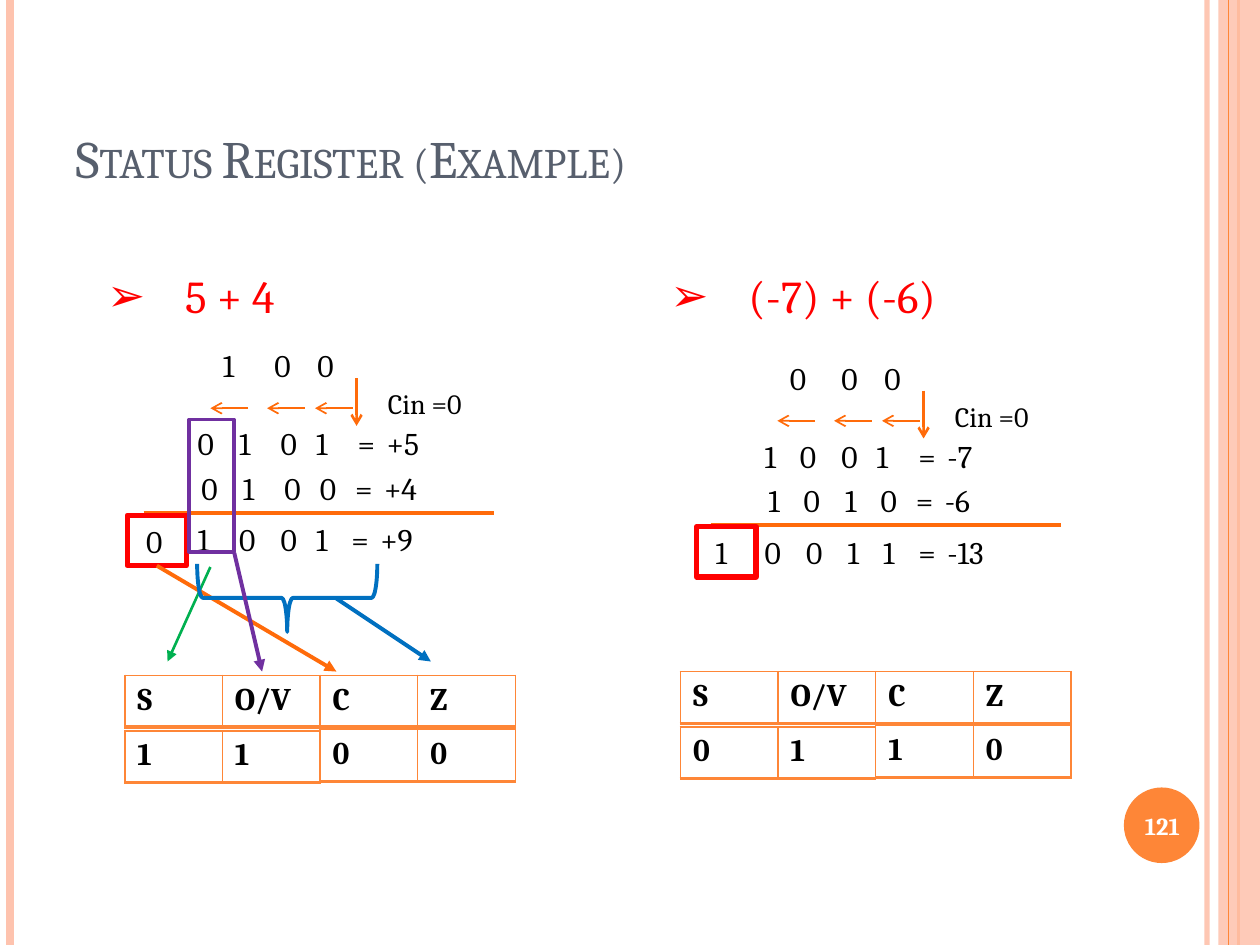
from dataclasses import dataclass

from lxml import etree
from pptx import Presentation
from pptx.dml import color
from pptx.enum import shapes, text
from pptx.oxml import ns
from pptx.util import Inches, Pt


@dataclass
class Theme:
    face: str = "Cambria"
    ink: str = "000000"
    slate: str = "575F6D"
    white: str = "FFFFFF"
    peach: str = "FEC3AE"
    amber: str = "FE8637"
    flame: str = "FF6B0A"
    red: str = "FF0000"
    green: str = "00B050"
    blue: str = "0070C0"
    plum: str = "7030A0"
    title: int = 30
    head: int = 26
    body: int = 18
    note: int = 16
    page: int = 14


def node(parent, tag, **attrs):
    return etree.SubElement(parent, ns.qn(tag), attrs)


class Deck:
    def __init__(self, theme):
        self.theme = theme
        self.prs = Presentation()
        self.prs.slide_width = Inches(10)
        self.prs.slide_height = Inches(7.5)
        self.slide = self.prs.slides.add_slide(self.prs.slide_layouts[3])
        self.items = self.slide.shapes

    def rgb(self, hue):
        return color.RGBColor.from_string(hue)

    def type(self, para, size=None, hue=None, bold=False):
        font = para.font
        font.name = self.theme.face
        font.size = Pt(size or self.theme.body)
        font.bold = bold
        font.color.rgb = self.rgb(hue or self.theme.ink)

    def fade(self, fill, alpha):
        tint = fill._xPr.find(".//" + ns.qn("a:srgbClr"))
        node(tint, "a:alpha", val=str(alpha * 1000))

    def place(self, item, box):
        item.left, item.top, item.width, item.height = map(Inches, box)
        frame = item.text_frame
        frame.auto_size = text.MSO_AUTO_SIZE.NONE
        frame.word_wrap = True
        return frame

    def title(self, words, box):
        frame = self.place(self.items.title, box)
        frame.vertical_anchor = text.MSO_ANCHOR.BOTTOM
        para = frame.paragraphs[0]
        para.alignment = text.PP_ALIGN.LEFT
        run = para.add_run()
        run.text = words
        run._r.get_or_add_rPr().set("cap", "small")
        self.type(para, self.theme.title, self.theme.slate)

    def head(self, index, words, box):
        frame = self.place(self.slide.placeholders[index], box)
        para = frame.paragraphs[0]
        para.text = words
        para.space_before = Pt(0)
        props = para._p.get_or_add_pPr()
        props.set("marL", str(Inches(0.62)))
        props.set("indent", str(Inches(-0.62)))
        node(node(props, "a:buClr"), "a:srgbClr", val=self.theme.red)
        node(props, "a:buChar", char="➢")
        self.type(para, self.theme.head, self.theme.red)

    def label(self, words, box, size=None, hue=None, bold=False, mid=False):
        item = self.items.add_textbox(*map(Inches, box))
        frame = self.place(item, box)
        para = frame.paragraphs[0]
        para.text = words
        if mid:
            frame.vertical_anchor = text.MSO_ANCHOR.MIDDLE
            para.alignment = text.PP_ALIGN.CENTER
        self.type(para, size, hue, bold)

    def sum(self, words, gaps, box, digit=0.13, space=0.05):
        item = self.items.add_textbox(*map(Inches, box))
        para = self.place(item, box).paragraphs[0]
        para.text = "\t".join(words.split())
        tabs = node(para._p.get_or_add_pPr(), "a:tabLst")
        stop = 0
        for gap in gaps:
            stop += digit + gap * space
            node(tabs, "a:tab", pos=str(Inches(stop)), algn="l")
        self.type(para)

    def shape(self, kind, box, fill=None, line=None, width=1, alpha=None, turn=0):
        item = self.items.add_shape(kind, *map(Inches, box))
        item.shadow.inherit = False
        item.rotation = turn
        if fill:
            item.fill.solid()
            item.fill.fore_color.rgb = self.rgb(fill)
            if alpha:
                self.fade(item.fill, alpha)
        else:
            item.fill.background()
        if line:
            item.line.color.rgb = self.rgb(line)
            item.line.width = Pt(width)
        else:
            item.line.fill.background()
        return item

    def carry(self, words, box):
        item = self.shape(shapes.MSO_SHAPE.RECTANGLE, box, line=self.theme.red, width=3)
        frame = item.text_frame
        frame.margin_left = Inches(0.15)
        frame.word_wrap = True
        para = frame.paragraphs[0]
        para.text = words
        para.alignment = text.PP_ALIGN.LEFT
        self.type(para)
        return item

    def line(self, start, end, hue, width, tip=None, alpha=None, source=None):
        item = self.items.add_connector(
            shapes.MSO_CONNECTOR.STRAIGHT, *map(Inches, start + end))
        item.line.color.rgb = self.rgb(hue)
        item.line.width = Pt(width)
        if alpha:
            self.fade(item.line.fill, alpha)
        if tip:
            node(item.line._get_or_add_ln(), "a:tailEnd", type=tip)
        node(item._element.spPr, "a:effectLst")
        if source:
            item.begin_connect(source, 2)

    def table(self, words, left, top, step=0.775, tall=0.41):
        grid = self.items.add_table(
            1, len(words), Inches(left), Inches(top),
            Inches(step * len(words)), Inches(tall)).table
        grid.first_row = grid.horz_banding = False
        for cell, word in zip(grid.iter_cells(), words):
            cell.text = word
            self.type(cell.text_frame.paragraphs[0], bold=True)
            props = cell._tc.get_or_add_tcPr()
            for side, width in zip("LRTB", (1, 1, 1, 2)):
                edge = node(props, "a:ln" + side, w=str(Pt(width)))
                node(node(edge, "a:solidFill"), "a:srgbClr", val=self.theme.amber)
            cell.fill.background()

    def adder(self, left, top, bits, rows, carry, red):
        flame = self.theme.flame
        spots = ((1.5, 3.32), (1.53, 3.67), (1.5, 4.08))
        for (x, y), (words, gaps) in zip(spots, rows):
            self.sum(words, gaps, (left + x - 0.03, top + y, 2.5, 0.4))
        self.line((left + 1.14, top + 4.07), (left + 3.92, top + 4.07), flame, 2.25)
        self.line((left + 2.83, top + 3), (left + 2.83, top + 3.38), flame, 1.5, "arrow")
        self.label("Cin =0", (left + 2.98, top + 3.02, 1.04, 0.37), self.theme.note)
        for bit, x, tail in zip(bits, (1.67, 2.08, 2.42), (1.97, 2.42, 2.8)):
            self.label(bit, (left + x, top + 2.7, 0.25, 0.4))
            self.line((left + tail, top + 3.24), (left + tail - 0.3, top + 3.24),
                      flame, 1, "arrow")
        return self.carry(carry, red)

    def flags(self, values, left, top, step=0.775):
        self.table(("S", "O/V", "C", "Z"), left, top)
        for i, value in enumerate(values):
            self.table((value,), left + i * step, top + (0.44 if i < 2 else 0.43))


def main():
    theme = Theme()
    deck = Deck(theme)
    forms = shapes.MSO_SHAPE

    for x, hue, width, alpha in ((9.58, theme.peach, 3, 93), (0.08, theme.peach, 4.5, None),
                                 (9.83, theme.amber, 1.5, None)):
        deck.line((x, 0), (x, 7.5), hue, width, alpha=alpha)
    deck.shape(forms.RECTANGLE, (9.67, 0, 0.33, 7.5), theme.peach, alpha=87)
    deck.line((9.75, 0), (9.75, 7.5), theme.amber, 0.75)
    deck.shape(forms.OVAL, (8.92, 6.25, 0.6, 0.6), theme.amber)
    deck.label("121", (8.89, 6.27, 0.67, 0.57), theme.page, theme.white, True, True)

    deck.title("Status Register (Example)", (0.5, 0.3, 8.17, 1.25))
    deck.head(1, "5 + 4", (0.75, 2.08, 3.86, 0.54))
    deck.head(2, "(-7) + (-6)", (5.22, 2.08, 3.86, 0.54))

    plus = (("0 1 0 1 = +5", (4, 4, 3, 4, 2)),
            ("0 1 0 0 = +4", (4, 4, 3, 3, 2)),
            ("1 0 0 1 = +9", (4, 4, 3, 3, 2)))
    minus = (("1 0 0 1 = -7", (3, 4, 3, 4, 2)),
             ("1 0 1 0 = -6", (3, 4, 3, 3, 2)),
             ("0 0 1 1 = -13", (4, 4, 3, 3, 2)))
    red = deck.adder(0, 0, "100", plus, "0", (1.01, 4.09, 0.47, 0.4))
    deck.adder(4.5, 0.1, "000", minus, "1", (5.53, 4.18, 0.47, 0.4))
    deck.flags("1100", 0.99, 5.36)
    deck.flags("0110", 5.4, 5.33)

    deck.line((1.24, 4.5), (2.67, 5.33), theme.flame, 2.25, "triangle", source=red)
    deck.line((1.67, 4.5), (1.33, 5.25), theme.green, 1.5, "triangle")
    deck.shape(forms.LEFT_BRACE, (2.01, 4.03, 0.54, 1.43), line=theme.blue, width=2.25, turn=270)
    deck.line((2.67, 4.75), (3.42, 5.25), theme.blue, 2.25, "triangle")
    deck.shape(forms.RECTANGLE, (1.5, 3.33, 0.36, 1.05), line=theme.plum, width=2)
    deck.line((1.86, 4.39), (2.08, 5.33), theme.plum, 2.25, "triangle")
    deck.prs.save("out.pptx")


if __name__ == "__main__":
    main()
